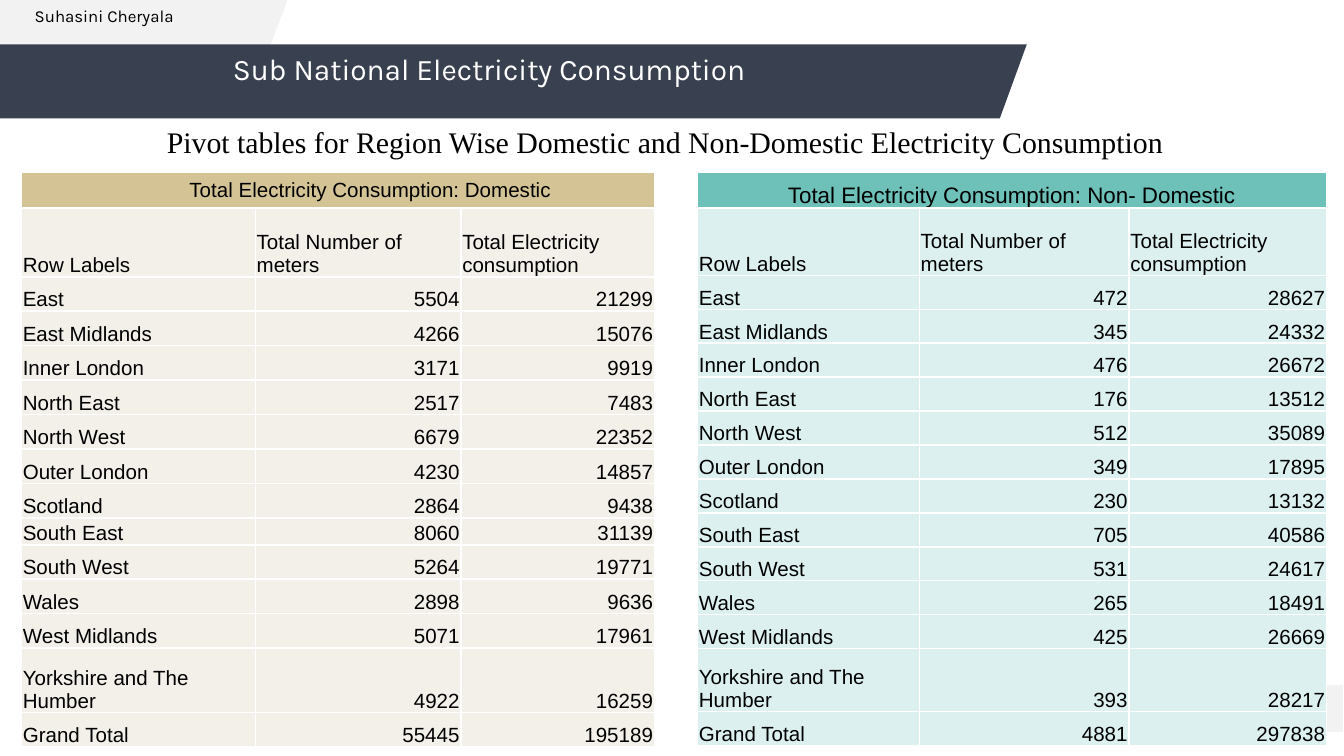
from pptx import Presentation, util as u
from pptx.dml.color import RGBColor
from pptx.enum import text as t
from pptx.oxml import parse_xml
from pptx.oxml.ns import nsdecls

WIDE = 10
HIGH = WIDE * 9 / 16


class Theme:
    sans, serif, head = "Arial", "Times New Roman", "Karla"
    ink, white, navy, grey = "000000", "FFFFFF", "394150", "F2F2F2"
    big, mid, body, small = 16, 12, 11, 9


TITLE = "Sub National Electricity Consumption"
NAME = "Suhasini Cheryala"
LEAD = "Pivot tables for Region Wise Domestic and Non-Domestic Electricity Consumption"
LABELS = ("Row Labels", "Total Number of meters", "Total Electricity consumption")

# region, domestic meters and use, non-domestic meters and use
ROWS = [
    ("East", 5504, 21299, 472, 28627),
    ("East Midlands", 4266, 15076, 345, 24332),
    ("Inner London", 3171, 9919, 476, 26672),
    ("North East", 2517, 7483, 176, 13512),
    ("North West", 6679, 22352, 512, 35089),
    ("Outer London", 4230, 14857, 349, 17895),
    ("Scotland", 2864, 9438, 230, 13132),
    ("South East", 8060, 31139, 705, 40586),
    ("South West", 5264, 19771, 531, 24617),
    ("Wales", 2898, 9636, 265, 18491),
    ("West Midlands", 5071, 17961, 425, 26669),
    ("Yorkshire and The Humber", 4922, 16259, 393, 28217),
    ("Grand Total", 55445, 195189, 4881, 297838),
]

# "fixed" holds the heights of the odd rows; the others share what is left
TABLES = [
    dict(head="Total Electricity Consumption: Non- Domestic", first=3,
         left=5.19, high=4.27, cols=(1.65, 1.56, 1.47),
         fixed={0: 0.27, 1: 0.5, 13: 0.47}, fills=("6DC1B9", "DDF0F0"),
         top=dict(size=Theme.mid, align="CENTER")),
    dict(head="Total Electricity Consumption: Domestic", first=1,
         left=0.16, high=4.28, cols=(1.74, 1.53, 1.44),
         fixed={0: 0.27, 1: 0.51, 9: 0.2, 13: 0.48}, fills=("D4C495", "F3EFE9"),
         top=dict(inset=1.25, anchor="MIDDLE")),
]


def write(frame, words, font=Theme.sans, size=Theme.body, color=Theme.ink,
          align="LEFT", space=None):
    para = frame.paragraphs[0]
    para.alignment = getattr(t.PP_ALIGN, align)
    if space:
        para.line_spacing = space
    run = para.add_run()
    run.text = words
    run.font.name, run.font.size = font, u.Pt(size)
    run.font.color.rgb = RGBColor.from_string(color)


def place(shape, box, words, pad=0.05, anchor="TOP", **style):
    """Put a text shape at box (left, top, width, height) and fill it."""
    shape.left, shape.top, shape.width, shape.height = map(u.Inches, box)
    frame = shape.text_frame
    frame.word_wrap, frame.auto_size = True, t.MSO_AUTO_SIZE.NONE
    frame.margin_left = frame.margin_right = u.Inches(0.1)
    frame.margin_top = frame.margin_bottom = u.Inches(pad)
    frame.vertical_anchor = getattr(t.MSO_ANCHOR, anchor)
    write(frame, words, **style)


def outline(slide, points, color):
    spots = [(u.Inches(x), u.Inches(y)) for x, y in points]
    pen = slide.shapes.build_freeform(*spots[0])
    pen.add_line_segments(spots[1:], close=True)
    shape = pen.convert_to_shape()
    shape.shadow.inherit = False
    shape.fill.solid()
    shape.fill.fore_color.rgb = RGBColor.from_string(color)
    shape.line.fill.background()


def slanted(slide, top, base, wide, foot, color):
    outline(slide, [(0, top), (wide, top), (foot, base), (0, base)], color)


def paint(cell, words, fill, inset=0.01, anchor="BOTTOM", **style):
    cell.margin_left = u.Inches(inset)
    cell.margin_right = cell.margin_top = u.Inches(0.01)
    cell.margin_bottom = 0
    cell.vertical_anchor = getattr(t.MSO_ANCHOR, anchor)
    cell.fill.solid()
    cell.fill.fore_color.rgb = RGBColor.from_string(fill)
    props = cell._tc.get_or_add_tcPr()
    for spot, side in enumerate("LRTB"):
        props.insert(spot, parse_xml(
            f'<a:ln{side} {nsdecls("a")} w="12700"><a:solidFill>'
            f'<a:srgbClr val="{Theme.white}"/></a:solidFill></a:ln{side}>'))
    if words:
        write(cell.text_frame, words, **style)


def pivot(slide, head, first, left, high, cols, fixed, fills, top):
    data = [LABELS] + [(row[0], *row[first:first + 2]) for row in ROWS]
    count = len(data) + 1
    frame = slide.shapes.add_table(count, len(cols), u.Inches(left), u.Inches(1.28),
                                   u.Inches(sum(cols)), u.Inches(high))
    grid = frame.table
    grid.first_row = grid.horz_banding = False
    for col, wide in zip(grid.columns, cols):
        col.width = u.Inches(wide)
    share = (high - sum(fixed.values())) / (count - len(fixed))
    for r, row in enumerate(grid.rows):
        row.height = u.Inches(fixed.get(r, share))
    grid.cell(0, 0).merge(grid.cell(0, len(cols) - 1))
    for c in range(len(cols)):
        paint(grid.cell(0, c), "" if c else head, fills[0], **top)
    for r, line in enumerate(data, 1):
        for c, value in enumerate(line):
            side = "RIGHT" if isinstance(value, int) else "LEFT"
            paint(grid.cell(r, c), str(value), fills[1], align=side)


def main():
    deck = Presentation()
    deck.slide_width, deck.slide_height = u.Inches(WIDE), u.Inches(HIGH)
    slide = deck.slides.add_slide(deck.slide_layouts[5])
    shapes = slide.shapes

    slanted(slide, 0, 0.34, 2.14, 2.01, Theme.grey)
    slanted(slide, 0.33, 0.88, 7.64, 7.44, Theme.navy)
    outline(slide, [(9.66, 5.1), (9.99, 5.1), (9.99, 5.45), (9.66, 5.45)], Theme.grey)

    title = shapes.title
    shapes._spTree.append(title._element)  # bring in front of the banner
    place(title, (0.17, 0.36, 6.94, 0.33), TITLE, anchor="MIDDLE", font=Theme.head,
          size=Theme.big, color=Theme.white, align="CENTER", space=0.9)
    place(shapes.add_textbox(0, 0, 0, 0), (0.25, 0.82, 9.4, 0.28), LEAD, pad=0.1,
          font=Theme.serif, size=Theme.big, align="CENTER")
    place(shapes.add_textbox(0, 0, 0, 0), (0.16, 0.01, 1.66, 0.24), NAME,
          font=Theme.head, size=Theme.small, space=0.9)

    for spec in TABLES:
        pivot(slide, **spec)
    deck.save("out.pptx")


if __name__ == "__main__":
    main()
